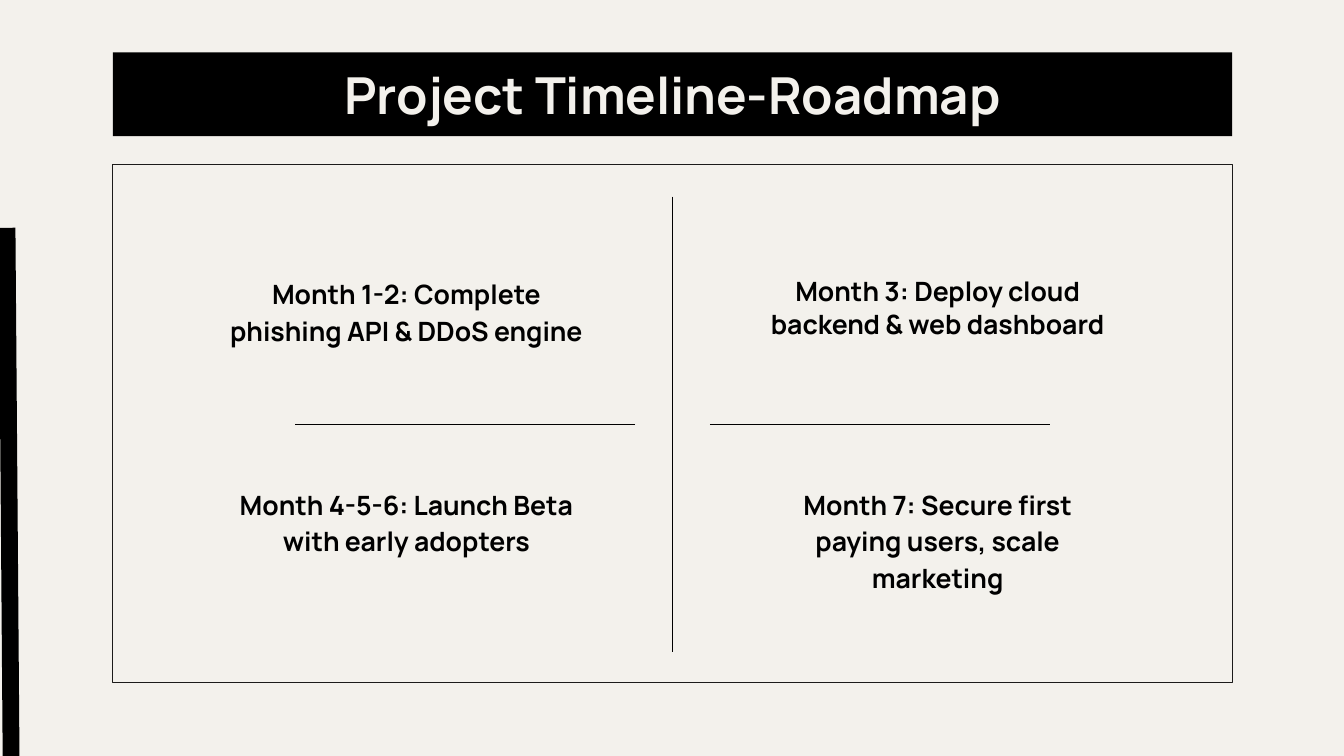
from dataclasses import dataclass

from lxml import etree
from pptx import Presentation
from pptx.dml.color import RGBColor
from pptx.enum.shapes import MSO_CONNECTOR, MSO_SHAPE
from pptx.enum.text import MSO_ANCHOR, PP_ALIGN
from pptx.oxml.ns import qn
from pptx.util import Inches, Pt


@dataclass(frozen=True)
class Theme:
    paper: RGBColor = RGBColor(0xF3, 0xF1, 0xEC)
    ink: RGBColor = RGBColor(0x00, 0x00, 0x00)
    frame: RGBColor = RGBColor(0x1C, 0x1B, 0x1A)
    font: str = "Manrope"
    title_size: float = 36.4
    body_size: float = 19
    rule_width: float = 0.75
    accent_width: float = 12


THEME = Theme()

# Text and line spacing of each milestone, row by row
MILESTONES = [
    [("Month 1-2: Complete phishing API & DDoS engine", 1.15),
     ("Month 3: Deploy cloud backend & web dashboard", 1.05)],
    [("Month 4-5-6: Launch Beta with early adopters", 1.15),
     ("Month 7: Secure first paying users, scale marketing", 1.15)],
]


def add_rule(slide, start, end, width=THEME.rule_width):
    rule = slide.shapes.add_connector(
        MSO_CONNECTOR.STRAIGHT, *map(Inches, (*start, *end)))
    rule.line.color.rgb = THEME.ink
    rule.line.width = Pt(width)
    etree.SubElement(rule._element.spPr, qn("a:effectLst"))


def add_rectangle(slide, box):
    shape = slide.shapes.add_shape(MSO_SHAPE.RECTANGLE, *map(Inches, box))
    shape.shadow.inherit = False
    return shape


def write_centred(shape, text, size, color):
    """Fill a shape with one bold centred paragraph and return it."""
    frame = shape.text_frame
    frame.word_wrap = True
    frame.margin_left = frame.margin_right = Inches(0.13)
    frame.margin_top = frame.margin_bottom = Inches(0.13)
    frame.text = text
    paragraph = frame.paragraphs[0]
    paragraph.alignment = PP_ALIGN.CENTER
    font = paragraph.runs[0].font
    font.name = THEME.font
    font.size = Pt(size)
    font.bold = True
    font.color.rgb = color
    return paragraph


def add_title_bar(slide, box):
    bar = add_rectangle(slide, box)
    bar.fill.solid()
    bar.fill.fore_color.rgb = THEME.ink
    bar.line.fill.background()
    write_centred(bar, "Project Timeline-Roadmap", THEME.title_size, THEME.paper)
    bar.text_frame.vertical_anchor = MSO_ANCHOR.MIDDLE


def add_milestone(slide, box, text, line_spacing):
    textbox = slide.shapes.add_textbox(*map(Inches, box))
    paragraph = write_centred(textbox, text, THEME.body_size, THEME.ink)
    textbox.text_frame.vertical_anchor = MSO_ANCHOR.TOP
    paragraph.line_spacing = line_spacing
    paragraph.space_after = Pt(16)


def add_roadmap(slide, box):
    """Draw the framed two-by-two grid of milestones with its dividers."""
    left, top, width, height = box
    frame = add_rectangle(slide, box)
    frame.fill.background()
    frame.line.color.rgb = THEME.frame
    frame.line.width = Pt(THEME.rule_width)

    center, middle = left + width / 2, top + 2.58
    add_rule(slide, (center, top + 0.32), (center, top + height - 0.3))
    for side in (-1, 1):
        add_rule(slide, (center + side * 0.37, middle),
                 (center + side * 3.74, middle))

    for row, milestones in enumerate(MILESTONES):
        for column, (text, line_spacing) in enumerate(milestones):
            cell = (left + 1.03 + column * 5.27, top + 0.95 + row * 2.09,
                    3.76, 1.31)
            add_milestone(slide, cell, text, line_spacing)


def main():
    presentation = Presentation()
    presentation.slide_width = Inches(13.33)
    presentation.slide_height = Inches(7.5)
    slide = presentation.slides.add_slide(presentation.slide_layouts[6])
    slide.background.fill.solid()
    slide.background.fill.fore_color.rgb = THEME.paper

    add_roadmap(slide, (1.12, 1.63, 11.1, 5.14))
    add_title_bar(slide, (1.12, 0.52, 11.1, 0.83))
    add_rule(slide, (0.07, 2.26), (0.11, 7.5), THEME.accent_width)
    presentation.save("out.pptx")


if __name__ == "__main__":
    main()
